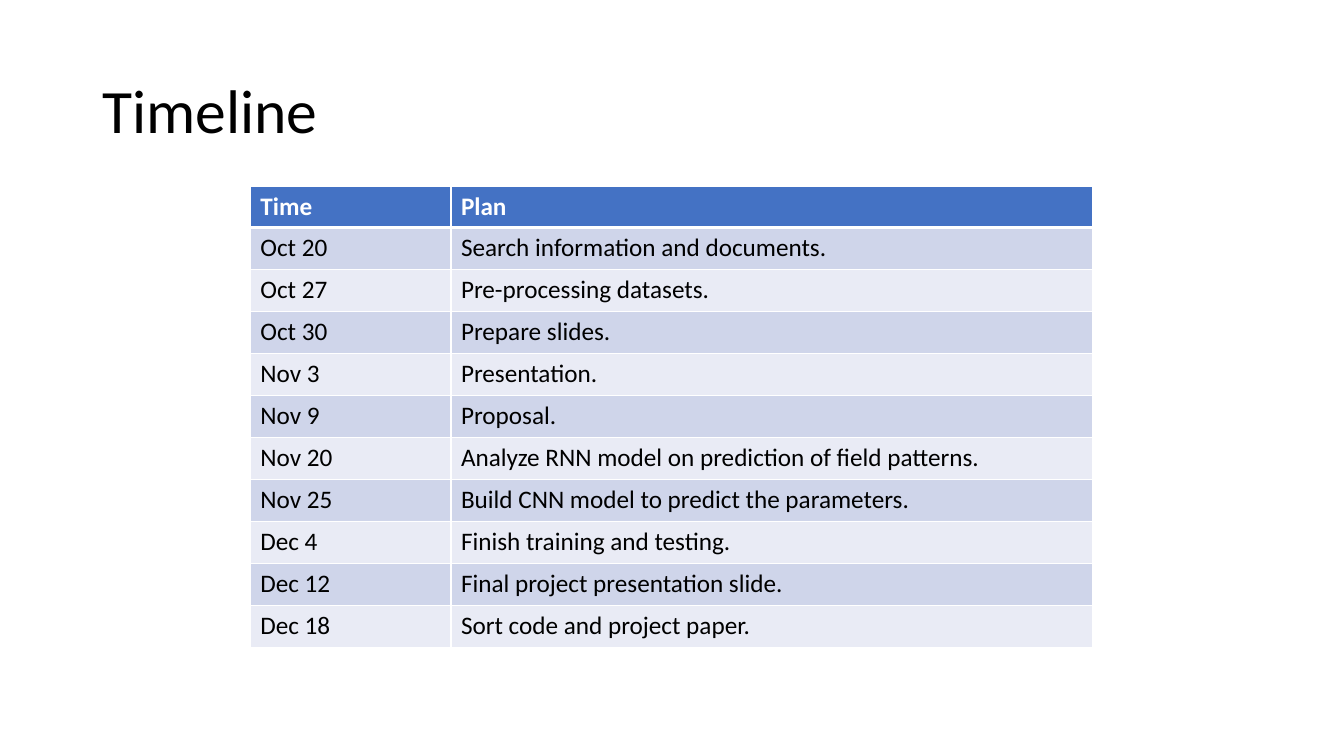
from lxml.etree import SubElement
from pptx import Presentation
from pptx.dml.color import RGBColor
from pptx.enum.text import MSO_ANCHOR, PP_ALIGN
from pptx.oxml.ns import qn
from pptx.util import Pt

COLORS = {
    "text": "000000",
    "header_text": "FFFFFF",
    "header": "4472C4",
    "odd_row": "CFD5EA",
    "even_row": "E9EBF5",
    "rule": "FFFFFF",
}
SCHEDULE = [
    ("Time", "Plan"),
    ("Oct 20", "Search information and documents."),
    ("Oct 27", "Pre-processing datasets."),
    ("Oct 30", "Prepare slides."),
    ("Nov 3", "Presentation."),
    ("Nov 9", "Proposal."),
    ("Nov 20", "Analyze RNN model on prediction of field patterns."),
    ("Nov 25", "Build CNN model to predict the parameters."),
    ("Dec 4", "Finish training and testing."),
    ("Dec 12", "Final project presentation slide."),
    ("Dec 18", "Sort code and project paper."),
]


class TimelineSlide:
    """Holds the text style and the slide being built."""

    def __init__(self, deck):
        self.font_name = "Calibri"
        self.slide = deck.slides.add_slide(deck.slide_layouts[5])

    def style(self, paragraph, size, color, bold=False):
        formats = {"name": self.font_name, "size": Pt(size), "bold": bold}
        for run in paragraph.runs:
            for attribute, value in formats.items():
                setattr(run.font, attribute, value)
            run.font.color.rgb = RGBColor.from_string(COLORS[color])

    def title(self, wording, left, top, width, height):
        heading = self.slide.shapes.title
        place = {"left": left, "top": top, "width": width, "height": height}
        for attribute, value in place.items():
            setattr(heading, attribute, Pt(value))
        heading.text_frame.text = wording
        heading.text_frame.vertical_anchor = MSO_ANCHOR.MIDDLE
        line = heading.text_frame.paragraphs[0]
        line.alignment = PP_ALIGN.LEFT
        line.line_spacing = 0.9
        self.style(line, 44, "text")

    def borders(self, cell, widths):
        properties = cell._tc.get_or_add_tcPr()
        for side, width in widths.items():
            edge = SubElement(properties, qn(f"a:ln{side}"), w=str(Pt(width)))
            fill = SubElement(edge, qn("a:solidFill"))
            SubElement(fill, qn("a:srgbClr"), val=COLORS["rule"])

    def table(self, entries, left, top, columns, header_height, row_height):
        height = header_height + row_height * (len(entries) - 1)
        frame = self.slide.shapes.add_table(
            len(entries), len(columns), Pt(left), Pt(top), Pt(sum(columns)), Pt(height))
        schedule = frame.table
        for column, width in zip(schedule.columns, columns):
            column.width = Pt(width)
        for number, entry in enumerate(entries):
            header = number == 0
            schedule.rows[number].height = Pt(header_height if header else row_height)
            band = "header" if header else "odd_row" if number % 2 else "even_row"
            widths = {"L": 1, "R": 1, "T": 3 if number == 1 else 1, "B": 3 if header else 1}
            for position, wording in enumerate(entry):
                cell = schedule.cell(number, position)
                cell.text = wording
                self.style(cell.text_frame.paragraphs[0], 18,
                           "header_text" if header else "text", header)
                self.borders(cell, widths)
                cell.fill.solid()
                cell.fill.fore_color.rgb = RGBColor.from_string(COLORS[band])


def main():
    deck = Presentation()
    deck.slide_width, deck.slide_height = Pt(960), Pt(540)
    timeline = TimelineSlide(deck)
    timeline.title("Timeline", 66, 28.75, 828, 104.4)
    timeline.table(SCHEDULE, 178.8, 133.4, (143.3, 458.7), 29, 30)
    deck.save("out.pptx")


if __name__ == "__main__":
    main()
